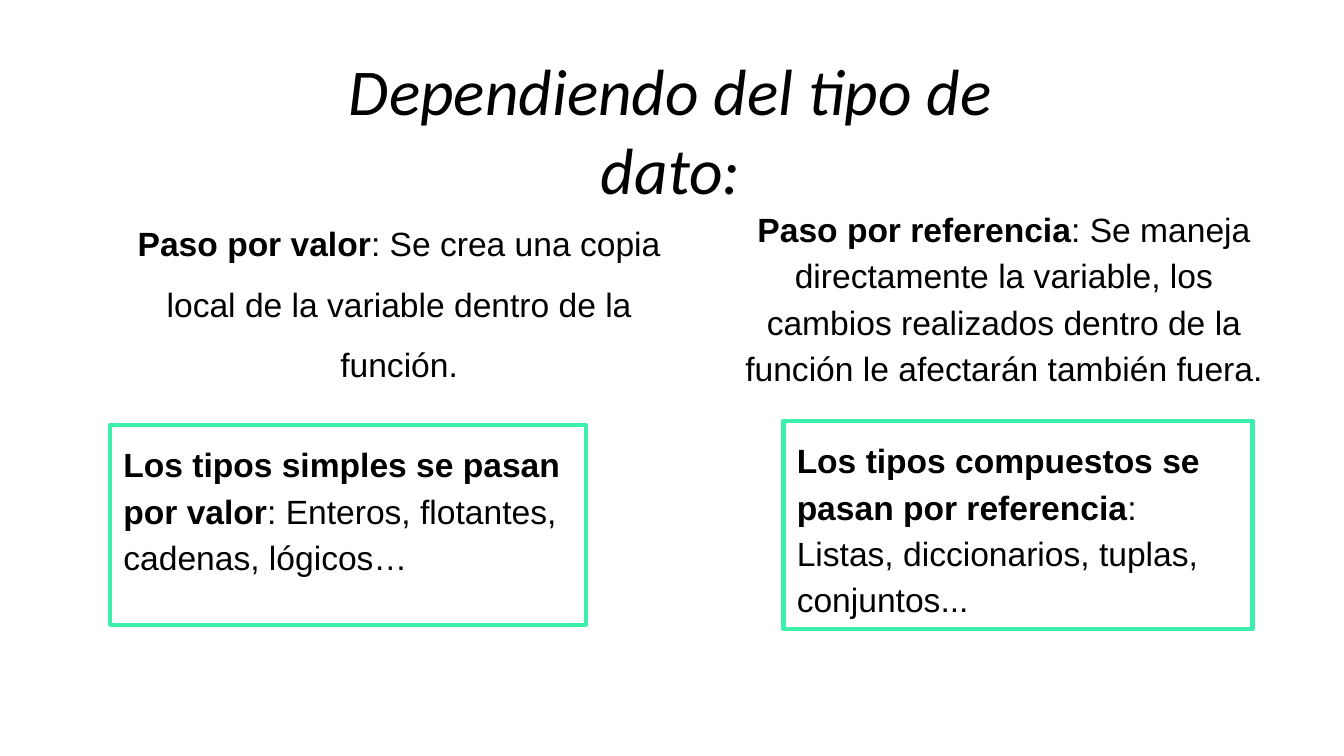
from dataclasses import dataclass

from pptx import Presentation
from pptx import util as u
from pptx.dml.color import RGBColor
from pptx.enum import shapes, text

EMU_PER_PX = 4572
COLORS = {"text": "000000", "frame": "3CEFAB", "background": "FFFFFF"}


@dataclass
class Block:
    x: int
    y: int
    w: int
    h: int
    term: str
    detail: str
    spacing: float = 1.15
    framed: bool = False


BLOCKS = [
    Block(164, 282, 860, 282, "Paso por valor",
          ": Se crea una copia local de la variable dentro de la función.",
          spacing=1.5),
    Block(1066, 282, 856, 310, "Paso por referencia",
          ": Se maneja directamente la variable, los cambios realizados "
          "dentro de la función le afectarán también fuera."),
    Block(164, 632, 708, 298, "Los tipos simples se pasan por valor",
          ": Enteros, flotantes, cadenas, lógicos…", framed=True),
    Block(1166, 626, 698, 310, "Los tipos compuestos se pasan por referencia",
          ": Listas, diccionarios, tuplas, conjuntos...", framed=True),
]


def px(n: int) -> u.Emu:
    return u.Emu(n * EMU_PER_PX)


def color(name: str) -> RGBColor:
    return RGBColor.from_string(COLORS[name])


def add_run(p, content: str, *, font: str = "Arial", size: int = 18,
            bold: bool = False, italic: bool = False) -> None:
    r = p.add_run()
    r.text = content
    r.font.name = font
    r.font.size = u.Pt(size)
    r.font.bold = bold
    r.font.italic = italic
    r.font.color.rgb = color("text")


def set_frame(sp, *, anchor=text.MSO_ANCHOR.TOP, align=text.PP_ALIGN.CENTER,
              spacing: float = 1.0):
    tf = sp.text_frame
    tf.word_wrap = True
    tf.vertical_anchor = anchor
    tf.margin_left = tf.margin_right = px(20)
    tf.margin_top = tf.margin_bottom = px(20)
    p = tf.paragraphs[0]
    p.alignment = align
    p.line_spacing = spacing
    return p


def add_title(s, content: str) -> None:
    sp = s.shapes.add_textbox(px(396), px(102), px(1204), px(180))
    p = set_frame(sp, anchor=text.MSO_ANCHOR.MIDDLE)
    add_run(p, content, font="Calibri", size=35, italic=True)


def add_block(s, b: Block) -> None:
    box = px(b.x), px(b.y), px(b.w), px(b.h)
    if b.framed:
        sp = s.shapes.add_shape(shapes.MSO_SHAPE.RECTANGLE, *box)
        sp.shadow.inherit = False
        sp.fill.background()
        sp.line.color.rgb = color("frame")
        sp.line.width = u.Pt(2.25)
        align = text.PP_ALIGN.LEFT
    else:
        sp = s.shapes.add_textbox(*box)
        align = text.PP_ALIGN.CENTER
    p = set_frame(sp, align=align, spacing=b.spacing)
    add_run(p, b.term, bold=True)
    add_run(p, b.detail)


def main() -> None:
    prs = Presentation()
    prs.slide_width, prs.slide_height = px(2000), px(1125)
    s = prs.slides.add_slide(prs.slide_layouts[6])
    s.background.fill.solid()
    s.background.fill.fore_color.rgb = color("background")
    add_title(s, "Dependiendo del tipo de dato:")
    for b in BLOCKS:
        add_block(s, b)
    prs.save("out.pptx")


if __name__ == "__main__":
    main()
